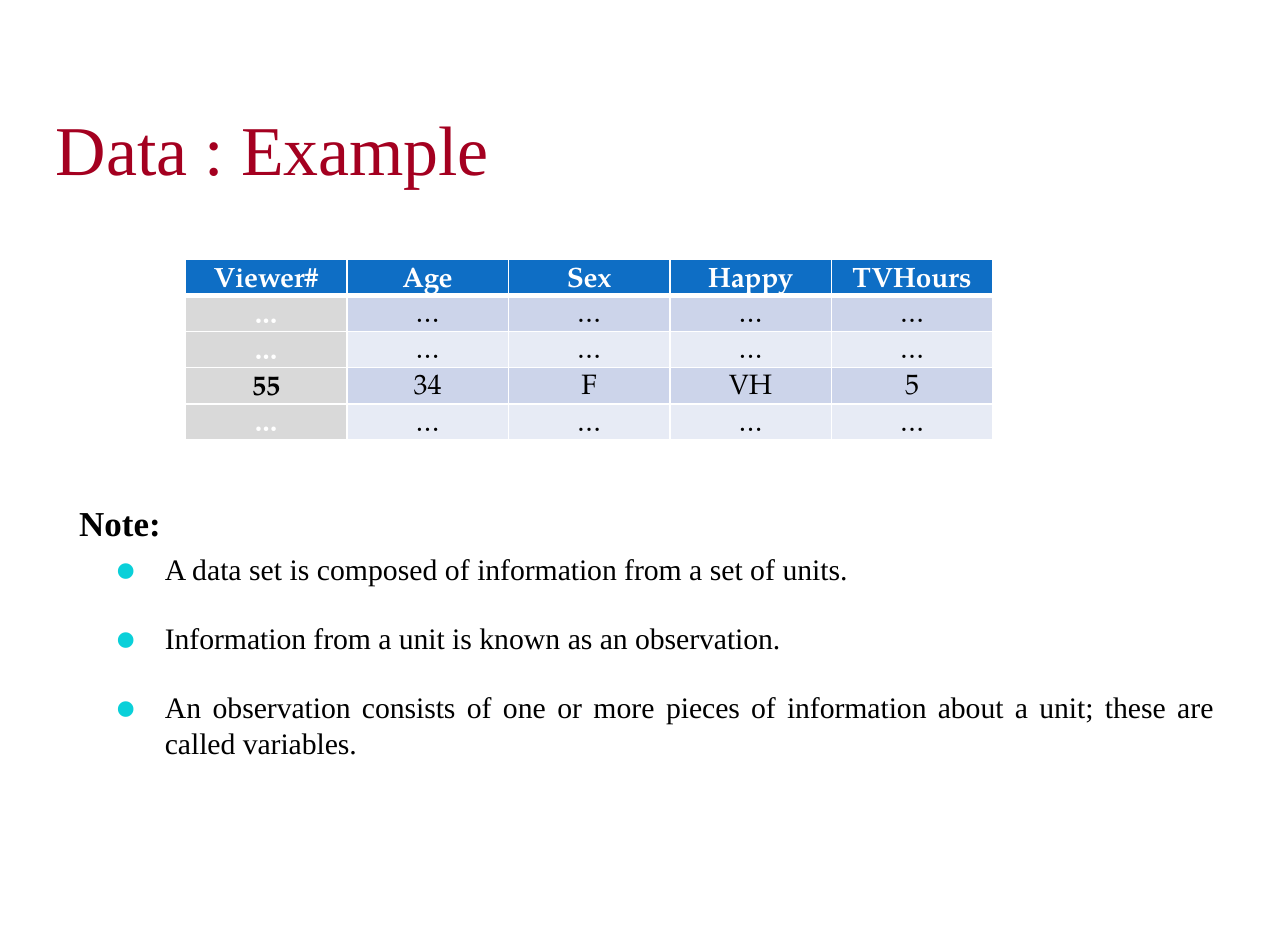
"""Build the slide with a data table and notes on its terms."""
from lxml.etree import SubElement
from pptx import Presentation
from pptx.dml.color import RGBColor
from pptx.enum.text import MSO_ANCHOR, PP_ALIGN
from pptx.oxml.ns import qn
from pptx.util import Cm, Pt

RED = RGBColor(0xA4, 0x00, 0x20)
BLACK = RGBColor(0x00, 0x00, 0x00)
WHITE = RGBColor(0xFF, 0xFF, 0xFF)
BLUE = RGBColor(0x0E, 0x6E, 0xC5)
GREY = RGBColor(0xD9, 0xD9, 0xD9)
BANDS = [RGBColor(0xE7, 0xEB, 0xF5), RGBColor(0xCC, 0xD4, 0xEA)]
CYAN = RGBColor(0x0A, 0xD0, 0xD9)
SERIF = "Times New Roman"
ROWS = [
    ["Viewer#", "Age", "Sex", "Happy", "TVHours"],
    ["…"] * 5,
    ["…"] * 5,
    ["55", "34", "F", "VH", "5"],
    ["…"] * 5,
]
NOTES = [
    [("A data set", 0), (" is", -5), (" composed of ", 0),
     ("information from", -5), (" a set of ", 0), ("units.", -5)],
    [("Information from ", -5), ("a", 0), (" unit is ", -5),
     ("known ", 0), ("as an observation.", -5)],
    [("An ", 0), ("observation consists ", -5), ("of one or more ", 0),
     ("pieces of information about ", -5), ("a ", 0), ("unit; ", -5),
     ("these are ", 0), ("called variables.", -5)],
]


def add_run(para, text, size, color, name=SERIF, bold=False, gap=0):
    run = para.add_run()
    run.text = text
    font = run.font
    font.size, font.name, font.bold = Pt(size), name, bold
    font.color.rgb = color
    if gap:
        run._r.get_or_add_rPr().set("spc", str(gap))


def set_frame(frame):
    frame.word_wrap = True
    frame.vertical_anchor = MSO_ANCHOR.TOP
    frame.margin_left = frame.margin_right = Cm(0)
    frame.margin_top = frame.margin_bottom = Cm(0)


deck = Presentation()
deck.slide_width, deck.slide_height = Cm(26), Cm(19.05)
slide = deck.slides.add_slide(deck.slide_layouts[5])

title = slide.shapes.title
title.left, title.top, title.width, title.height = Cm(1.13), Cm(2.14), Cm(8.84), Cm(1.75)
set_frame(title.text_frame)
head = title.text_frame.paragraphs[0]
head.alignment = PP_ALIGN.LEFT
add_run(head, "Data : Example", 40, RED, gap=-5)

table = slide.shapes.add_table(
    len(ROWS), len(ROWS[0]), Cm(3.74), Cm(5.23), Cm(16.3), Cm(3.65)).table
for row, texts in enumerate(ROWS):
    table.rows[row].height = Cm(0.73)
    for col, text in enumerate(texts):
        cell = table.cell(row, col)
        cell.margin_left = cell.margin_right = cell.margin_bottom = Cm(0)
        cell.margin_top = Cm(0.03)
        props = cell._tc.get_or_add_tcPr()
        for side in ("L", "R", "T", "B"):
            thick = (row, side) in ((0, "B"), (1, "T"))
            edge = SubElement(props, qn(f"a:ln{side}"), w=str(Pt(3 if thick else 1)))
            paint = SubElement(edge, qn("a:solidFill"))
            SubElement(paint, qn("a:srgbClr"), val=str(WHITE))
        cell.fill.solid()
        cell.fill.fore_color.rgb = (
            BLUE if row == 0 else GREY if col == 0 else BANDS[row % 2])
        para = cell.text_frame.paragraphs[0]
        para.alignment = PP_ALIGN.CENTER
        para.line_spacing = Pt(19.2)
        pale = row == 0 or (col == 0 and text == "…")
        add_run(para, text, 16, WHITE if pale else BLACK,
                "TeX Gyre Pagella", row == 0 or col == 0, -10 if row == 0 else 0)

box = slide.shapes.add_textbox(Cm(1.6), Cm(10.12), Cm(22.9), Cm(5.2))
frame = box.text_frame
set_frame(frame)
add_run(frame.paragraphs[0], "Note:", 20, BLACK, bold=True)
for rank, runs in enumerate(NOTES):
    para = frame.add_paragraph()
    para.alignment = PP_ALIGN.JUSTIFY
    para.space_before = Pt(19.2 if rank else 4.2)
    props = para._p.get_or_add_pPr()
    props.set("marL", str(Cm(1.73)))
    props.set("indent", str(-Cm(0.96)))
    tint = SubElement(props, qn("a:buClr"))
    SubElement(tint, qn("a:srgbClr"), val=str(CYAN))
    SubElement(props, qn("a:buSzPct"), val="94000")
    SubElement(props, qn("a:buFont"), typeface="Segoe UI Symbol")
    SubElement(props, qn("a:buChar"), char="⚫")
    for text, gap in runs:
        add_run(para, text, 17, BLACK, gap=gap)

deck.save("out.pptx")
